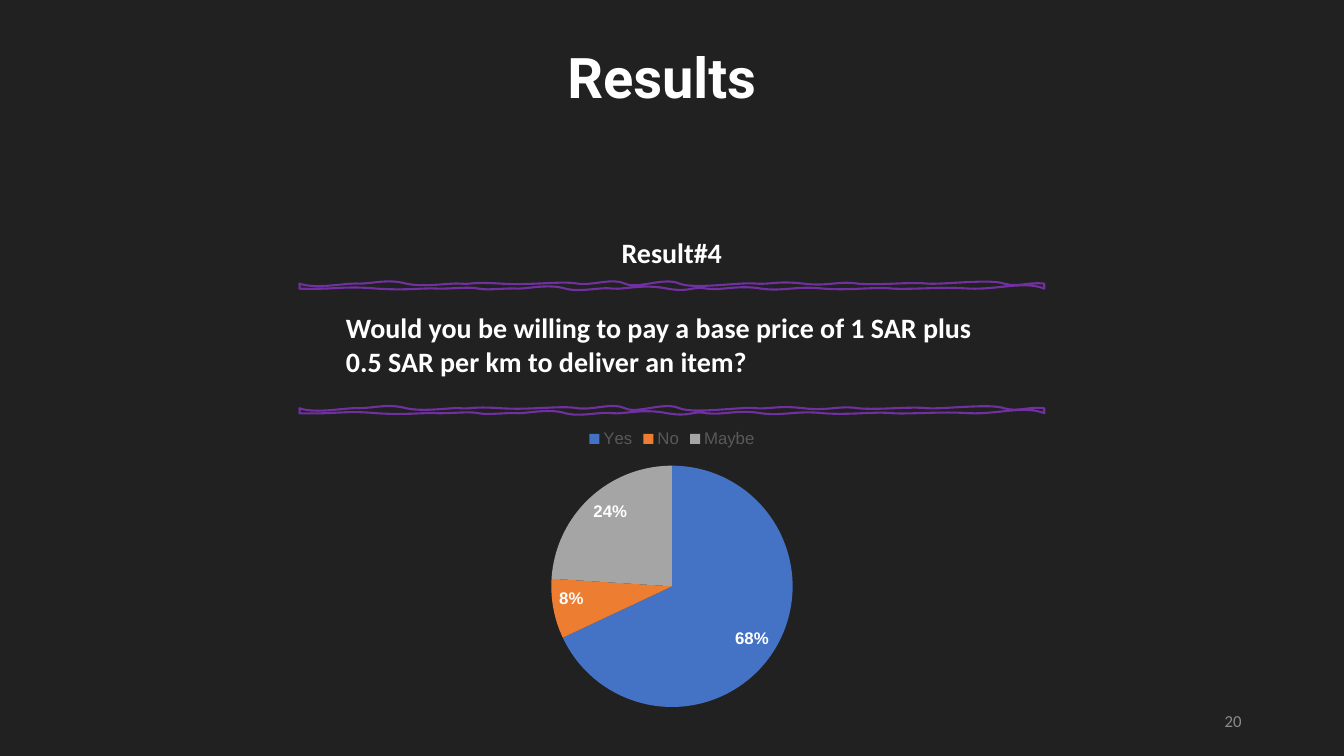
from lxml.etree import SubElement
from pptx import Presentation
from pptx.chart.data import CategoryChartData
from pptx.dml.color import RGBColor
from pptx.enum.chart import XL_CHART_TYPE, XL_LABEL_POSITION as LabelPosition, XL_LEGEND_POSITION as LegendPosition
from pptx.enum.text import MSO_ANCHOR as Anchor, MSO_AUTO_SIZE as AutoSize, PP_ALIGN as Align
from pptx.oxml.ns import qn
from pptx.util import Pt

BACKGROUND = RGBColor(0x21, 0x21, 0x21)
WHITE = RGBColor(0xFF, 0xFF, 0xFF)
PURPLE = RGBColor(0x70, 0x30, 0xA0)
NUMBER_GRAY = RGBColor(0x8B, 0x8B, 0x8B)
LEGEND_GRAY = RGBColor(0x59, 0x59, 0x59)

TITLE = "Results"
HEADING = "Result#4"
QUESTION = "Would you be willing to pay a base price of 1 SAR plus 0.5 SAR per km to deliver an item?"
PAGE_NUMBER = "20"
ANSWERS = [
    ("Yes", 68, RGBColor(0x44, 0x72, 0xC4)),
    ("No", 8, RGBColor(0xED, 0x7D, 0x31)),
    ("Maybe", 24, RGBColor(0xA5, 0xA5, 0xA5)),
]

# Hand-drawn rule: cubic curves (control, control, end), in hundredths of an inch
RULE_UNIT = 0.72
RULE_START = (0, 5)
RULE_CURVES = [
    (38, 6, 44, 2, 77, 5), (109, 7, 121, 4, 138, 5), (156, 5, 168, 3, 178, 5),
    (187, 7, 207, 4, 217, 5), (227, 5, 248, 0, 264, 5), (279, 9, 299, 3, 311, 5),
    (322, 6, 341, 0, 365, 5), (389, 9, 389, 2, 404, 5), (419, 7, 436, 1, 458, 5),
    (480, 8, 493, 2, 520, 5), (546, 7, 571, 3, 589, 5), (606, 6, 637, 3, 665, 5),
    (693, 6, 720, -3, 739, 5), (739, 3, 739, 1, 739, 0), (723, -2, 713, 4, 699, 0),
    (686, -5, 640, 1, 623, 0), (607, -2, 574, 2, 554, 0), (535, -3, 525, 3, 500, 0),
    (475, -3, 467, 1, 453, 0), (440, -2, 392, 6, 377, 0), (362, -7, 335, 6, 323, 0),
    (310, -6, 293, 2, 276, 0), (260, -3, 230, 2, 200, 0), (170, -2, 171, 1, 160, 0),
    (150, -1, 124, 4, 106, 0), (88, -5, 73, 0, 59, 0), (46, -1, 17, 6, 0, 0),
    (0, 2, 1, 3, 0, 5),
]
RULE_LEFT = 213.84
RULE_TOPS = (202.6, 291.6)


def set_font(font, size, color, name="Calibri", bold=False):
    font.size = Pt(size)
    font.name = name
    font.bold = bold
    font.color.rgb = color


def write_text(shape, text, box, size=20, color=WHITE, name="Calibri", bold=True,
               align=Align.LEFT, anchor=Anchor.TOP, line_spacing=1.0, space_after=0):
    """Place a shape at box (left, top, width, height) and fill it with one paragraph."""
    shape.left, shape.top, shape.width, shape.height = map(Pt, box)
    frame = shape.text_frame
    frame.word_wrap = True
    frame.auto_size = AutoSize.NONE
    frame.vertical_anchor = anchor
    paragraph = frame.paragraphs[0]
    paragraph.alignment = align
    paragraph.line_spacing = line_spacing
    paragraph.space_before = Pt(0)
    paragraph.space_after = Pt(space_after)
    run = paragraph.add_run()
    run.text = text
    set_font(run.font, size, color, name, bold)
    return shape


def add_text(slide, text, box, **text_format):
    return write_text(slide.shapes.add_textbox(0, 0, 0, 0), text, box, **text_format)


def bend_segments(shape, curves):
    """Turn the straight segments of a freeform into cubic curves."""
    segments = list(shape._element.iter(qn("a:lnTo")))
    for segment, curve in zip(segments, curves):
        bend = SubElement(segment.getparent(), qn("a:cubicBezTo"))
        for x, y in zip(curve[::2], curve[1::2]):
            SubElement(bend, qn("a:pt"), x=str(Pt(x * RULE_UNIT)), y=str(Pt(y * RULE_UNIT)))
        segment.getparent().replace(segment, bend)


def add_wavy_rule(slide, top):
    ends = [RULE_START] + [curve[-2:] for curve in RULE_CURVES]
    points = [(Pt(RULE_LEFT + x * RULE_UNIT), Pt(top + y * RULE_UNIT)) for x, y in ends]
    builder = slide.shapes.build_freeform(*points[0])
    builder.add_line_segments(points[1:], close=True)
    rule = builder.convert_to_shape()
    bend_segments(rule, RULE_CURVES)
    rule.shadow.inherit = False
    rule.fill.background()
    rule.line.color.rgb = PURPLE
    rule.line.width = Pt(1.5)


def add_answer_pie(slide, box):
    data = CategoryChartData()
    data.categories = [answer for answer, _, _ in ANSWERS]
    data.add_series("Series 1", [value for _, value, _ in ANSWERS])
    chart = slide.shapes.add_chart(XL_CHART_TYPE.PIE, *map(Pt, box), data).chart
    chart.has_title = False
    chart.font.name = "Arial"
    chart.font.size = Pt(10)
    chart.has_legend = True
    chart.legend.position = LegendPosition.TOP
    chart.legend.include_in_layout = False
    set_font(chart.legend.font, 12, LEGEND_GRAY, "Arial")

    plot = chart.plots[0]
    plot.vary_by_categories = True
    for index, (_, _, color) in enumerate(ANSWERS):
        fill = plot.series[0].points[index].format.fill
        fill.solid()
        fill.fore_color.rgb = color
    labels = plot.series[0].data_labels
    labels.show_percentage = True
    labels.show_value = False
    labels.number_format = "0%"
    labels.number_format_is_linked = False
    labels.position = LabelPosition.INSIDE_END
    set_font(labels.font, 12, WHITE, "Arial", bold=True)


def main():
    presentation = Presentation()
    presentation.slide_width, presentation.slide_height = Pt(960), Pt(540)
    slide = presentation.slides.add_slide(presentation.slide_layouts[5])
    slide.background.fill.solid()
    slide.background.fill.fore_color.rgb = BACKGROUND

    add_text(slide, PAGE_NUMBER, (678, 500.4, 216, 28.8), size=12, color=NUMBER_GRAY,
             bold=False, align=Align.RIGHT, anchor=Anchor.MIDDLE)
    write_text(slide.shapes.title, TITLE, (226.8, 20.2, 491.8, 62.6), size=40, name="Roboto",
               align=Align.CENTER, anchor=Anchor.BOTTOM, line_spacing=0.9)
    question = add_text(slide, QUESTION, (240, 218.5, 480, 55.5))
    question.text_frame.auto_size = AutoSize.SHAPE_TO_FIT_TEXT
    add_answer_pie(slide, (300, 299, 360, 216))
    add_text(slide, HEADING, (206.6, 133.2, 546.5, 62.6), align=Align.CENTER,
             anchor=Anchor.BOTTOM, line_spacing=1.07, space_after=8)
    for top in RULE_TOPS:
        add_wavy_rule(slide, top)
    presentation.save("out.pptx")


if __name__ == "__main__":
    main()
